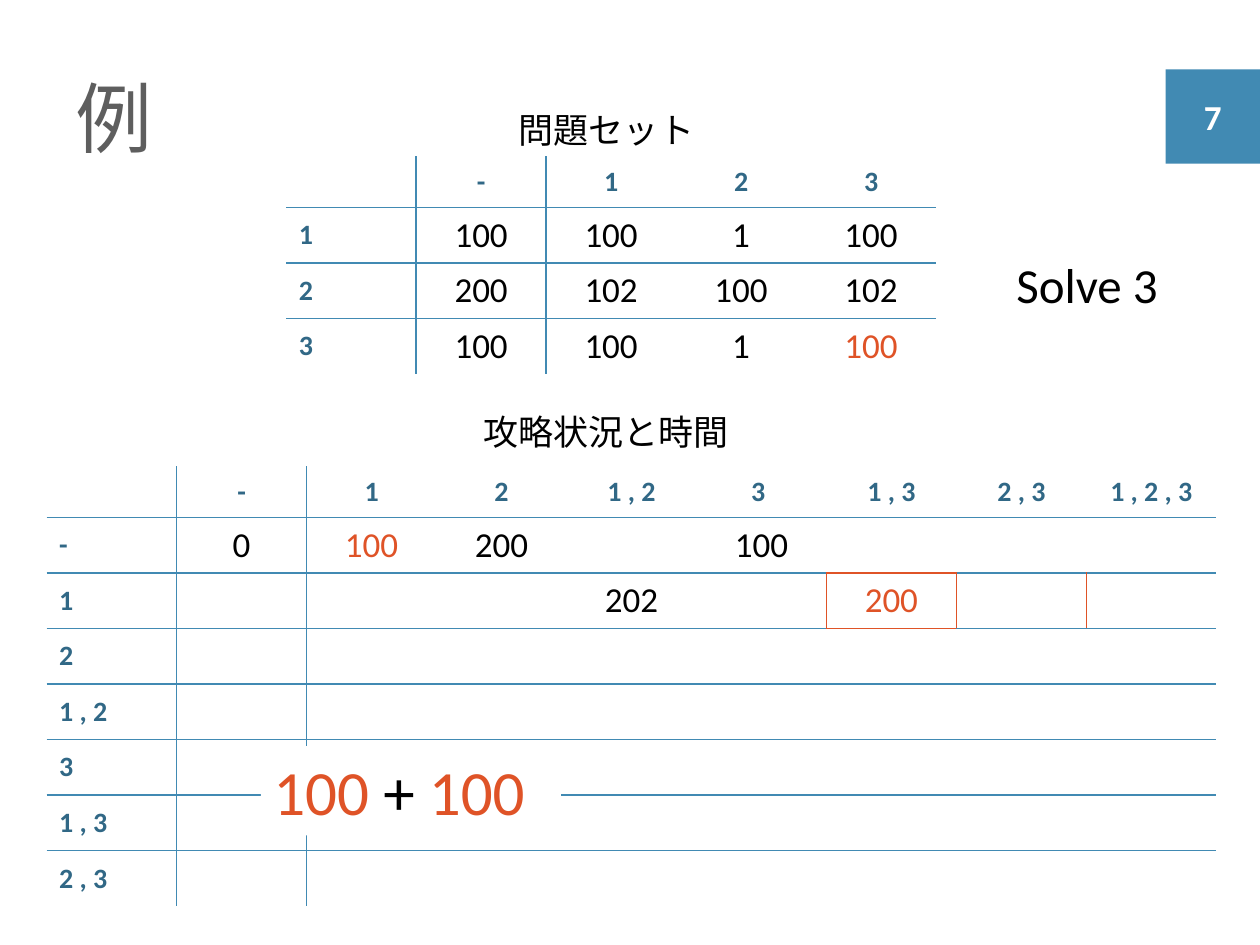
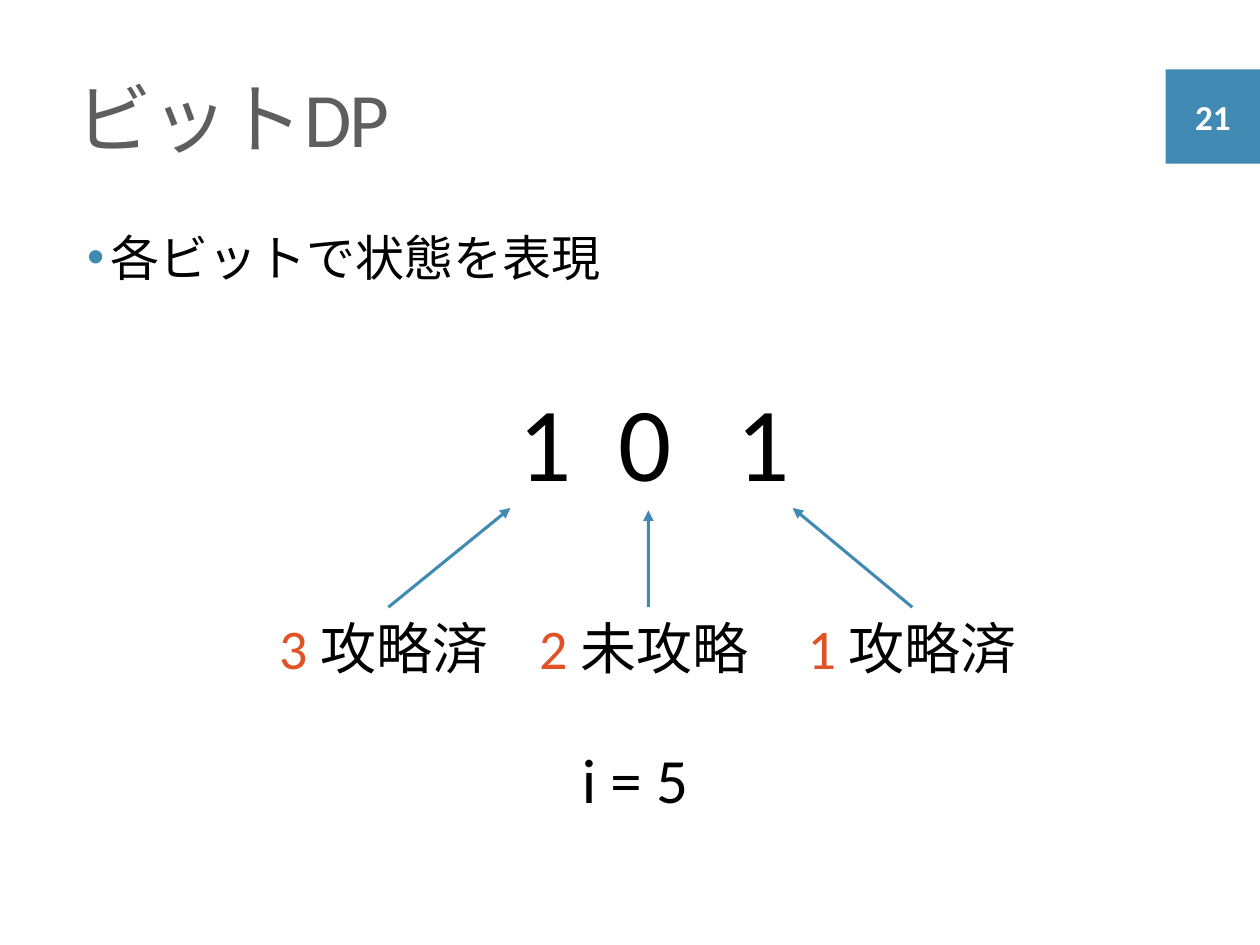
"""Build two slides that explain bit DP with stage tables and a bit diagram."""
from lxml import etree
from pptx import Presentation
from pptx.dml.color import RGBColor
from pptx.enum.shapes import MSO_CONNECTOR, MSO_SHAPE
from pptx.enum.text import MSO_ANCHOR, MSO_AUTO_SIZE, PP_ALIGN
from pptx.oxml.ns import qn
from pptx.util import Cm, Pt

LEFT, CENTER = PP_ALIGN.LEFT, PP_ALIGN.CENTER
TOP, MIDDLE = MSO_ANCHOR.TOP, MSO_ANCHOR.MIDDLE
NO_AUTOFIT = MSO_AUTO_SIZE.NONE
RECTANGLE, STRAIGHT = MSO_SHAPE.RECTANGLE, MSO_CONNECTOR.STRAIGHT
FONT = "Calibri"
COLORS = {
    "blue": "418AB3",
    "header": "316886",
    "orange": "DF5327",
    "title": "5E5E5E",
    "black": "000000",
    "white": "FFFFFF",
}


def write(para, text, size=20, color="black", bold=False, align=LEFT, spacing=None):
    """Add a formatted run to a paragraph."""
    para.alignment = align
    span = para.add_run()
    span.text = text
    span.font.name = FONT
    span.font.size = Pt(size)
    span.font.bold = bold
    span.font.color.rgb = RGBColor.from_string(COLORS[color])
    if spacing is not None:
        span.font._element.set("spc", str(spacing))


def add_box(page, place, spans, size):
    """Add a text box holding one line of (text, color) spans."""
    box = page.shapes.add_textbox(*(Cm(length) for length in place))
    box.text_frame.word_wrap = True
    for text, color in spans:
        write(box.text_frame.paragraphs[0], text, size=size, color=color)
    return box


deck = Presentation()
deck.slide_width, deck.slide_height = Cm(25.4), Cm(19.05)

pages = []
for layout_index, title_text, number in [(5, "例", "7"), (1, "ビットDP", "21")]:
    page = deck.slides.add_slide(deck.slide_layouts[layout_index])
    pages.append(page)

    badge = page.shapes.add_shape(RECTANGLE, Cm(23.5), Cm(1.4), Cm(1.9), Cm(1.9))
    badge.shadow.inherit = False
    badge.fill.solid()
    badge.fill.fore_color.rgb = RGBColor.from_string(COLORS["blue"])
    badge.line.fill.background()
    badge.text_frame.vertical_anchor = MIDDLE
    write(badge.text_frame.paragraphs[0], number, color="white", bold=True, align=CENTER)

    title = page.shapes.title
    title.left, title.top, title.width, title.height = Cm(1.27), Cm(0.76), Cm(23.6), Cm(3.18)
    title.text_frame.auto_size = NO_AUTOFIT
    title.text_frame.vertical_anchor = MIDDLE
    write(title.text_frame.paragraphs[0], title_text, size=44, color="title", spacing=-80)

example_page, bit_page = pages

progress_rows = [
    ["", "-", "1", "2", "1 , 2", "3 ", "1 , 3", "2 , 3", "1 , 2 , 3"],
    ["-", "0", "100", "200", "", "100", "", "", ""],
    ["1", "", "", "", "202", "", "200", "", ""],
] + [[state] + [""] * 8 for state in ("2", "1 , 2", "3", "1 , 3", "2 , 3")]
problem_rows = [
    ["", "-", "1", "2", "3"],
    ["1", "100", "100", "1", "100"],
    ["2", "200", "102", "100", "102"],
    ["3", "100", "100", "1", "100"],
]
progress_edges = {("right", 2, 5): "orange", ("right", 2, 6): "orange", ("right", 2, 7): "orange",
                  ("below", 1, 6): "orange", ("below", 2, 6): "orange"}

for rows, left, top, highlights, special_edges in [
    (progress_rows, 0.94, 9.4, {(1, 2), (2, 6)}, progress_edges),
    (problem_rows, 5.77, 3.15, {(3, 4)}, {}),
]:
    row_count, column_count = len(rows), len(rows[0])
    edges = {("right", row, column): "blue" for row in range(row_count) for column in (0, 1)}
    edges.update({("below", row, column): "blue"
                  for row in range(row_count - 1) for column in range(column_count)})
    edges.update(special_edges)

    table = example_page.shapes.add_table(
        row_count, column_count, Cm(left), Cm(top),
        Cm(2.62 * column_count), Cm(1.03 + 1.12 * (row_count - 1))).table
    table.first_row = table.horz_banding = False
    for column in table.columns:
        column.width = Cm(2.62)
    for row_index, values in enumerate(rows):
        table.rows[row_index].height = Cm(1.12 if row_index else 1.03)
        for column_index, value in enumerate(values):
            cell = table.cell(row_index, column_index)
            cell.vertical_anchor = MIDDLE
            properties = cell._tc.get_or_add_tcPr()
            for tag, edge in [
                ("a:lnL", ("right", row_index, column_index - 1)),
                ("a:lnR", ("right", row_index, column_index)),
                ("a:lnT", ("below", row_index - 1, column_index)),
                ("a:lnB", ("below", row_index, column_index)),
            ]:
                border = etree.SubElement(properties, qn(tag), w=str(Pt(1)))
                if edge in edges:
                    paint = etree.SubElement(border, qn("a:solidFill"))
                    etree.SubElement(paint, qn("a:srgbClr"), val=COLORS[edges[edge]])
                else:
                    etree.SubElement(border, qn("a:noFill"))
            cell.fill.background()
            if not value:
                continue
            para = cell.text_frame.paragraphs[0]
            align = CENTER if column_index else LEFT
            if row_index == 0 or column_index == 0:
                write(para, value, size=16, color="header", bold=True, align=align)
            else:
                color = "orange" if (row_index, column_index) in highlights else "black"
                write(para, value, color=color, align=align)

add_box(example_page, (10.21, 2.06, 4.08, 1.12), [("問題セット", "black")], 20)
add_box(example_page, (9.5, 8.15, 5.53, 1.12), [("攻略状況と時間", "black")], 20)
add_box(example_page, (20.24, 5, 3.76, 1.45), [("Solve 3", "black")], 28)
sum_box = add_box(example_page, (5.26, 15.04, 6.05, 1.8),
                  [("100", "orange"), (" + ", "black"), ("100", "orange")], 36)
sum_box.fill.solid()
sum_box.fill.fore_color.rgb = RGBColor.from_string(COLORS["white"])

body = bit_page.placeholders[1]
body.left, body.top, body.width, body.height = Cm(1.27), Cm(4.45), Cm(23.6), Cm(13.34)
body.text_frame.auto_size = NO_AUTOFIT
body.text_frame.vertical_anchor = TOP
para = body.text_frame.paragraphs[0]
write(para, "各ビットで状態を表現", size=28)
properties = para._p.get_or_add_pPr()
properties.set("marL", str(Cm(0.71)))
properties.set("indent", str(Cm(-0.48)))
bullet_color = etree.SubElement(properties, qn("a:buClr"))
etree.SubElement(bullet_color, qn("a:srgbClr"), val=COLORS["blue"])
etree.SubElement(properties, qn("a:buChar"), char="•")

for bit, bit_left, bit_width, stage, state, label_left, label_width, tip in [
    ("1", 10.21, 1.35, "3 ", "攻略済", 5.38, 4.9, (10.29, 10.24)),
    ("0", 12.22, 1.7, "2 ", "未攻略", 10.62, 4.9, None),
    ("1", 14.6, 1.35, "1 ", "攻略済", 16.03, 4.72, (15.98, 10.24)),
]:
    bit_box = add_box(bit_page, (bit_left, 7.47, bit_width, 2.82), [(bit, "black")], 60)
    label = add_box(bit_page, (label_left, 12.24, label_width, 1.63),
                    [(stage, "orange"), (state, "black")], 32)
    tip_x, tip_y = tip or (0, 0)
    arrow = bit_page.shapes.add_connector(STRAIGHT, 0, 0, Cm(tip_x), Cm(tip_y))
    arrow.begin_connect(label, 0)
    if tip is None:
        arrow.end_connect(bit_box, 2)
    arrow.line.color.rgb = RGBColor.from_string(COLORS["blue"])
    arrow.line.width = Pt(1.75)
    etree.SubElement(arrow.line._get_or_add_ln(), qn("a:tailEnd"), type="triangle")
    etree.SubElement(arrow._element.spPr, qn("a:effectLst"))

add_box(bit_page, (11.48, 14.81, 3.2, 1.8), [("i = 5", "black")], 36)

deck.save("out.pptx")
